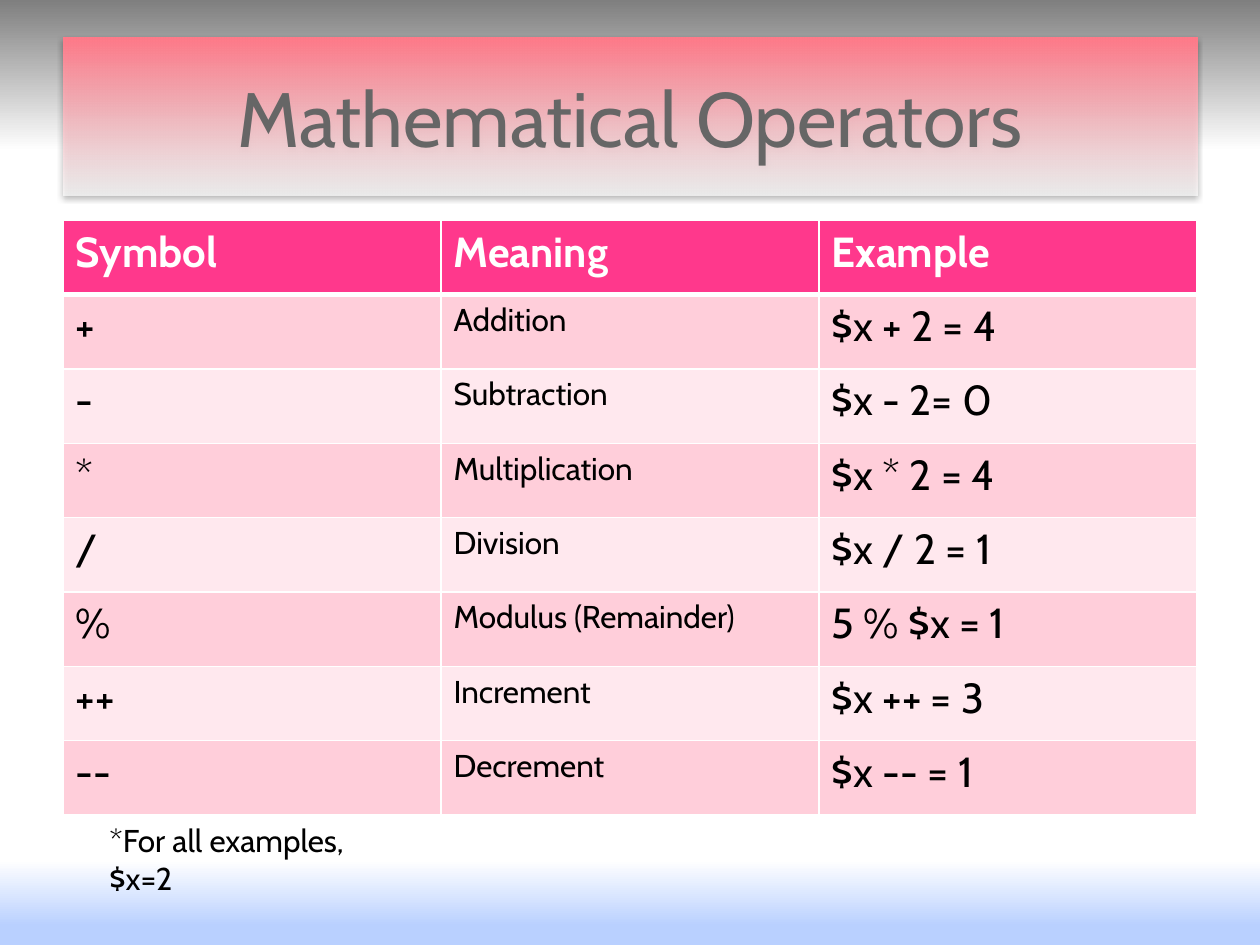
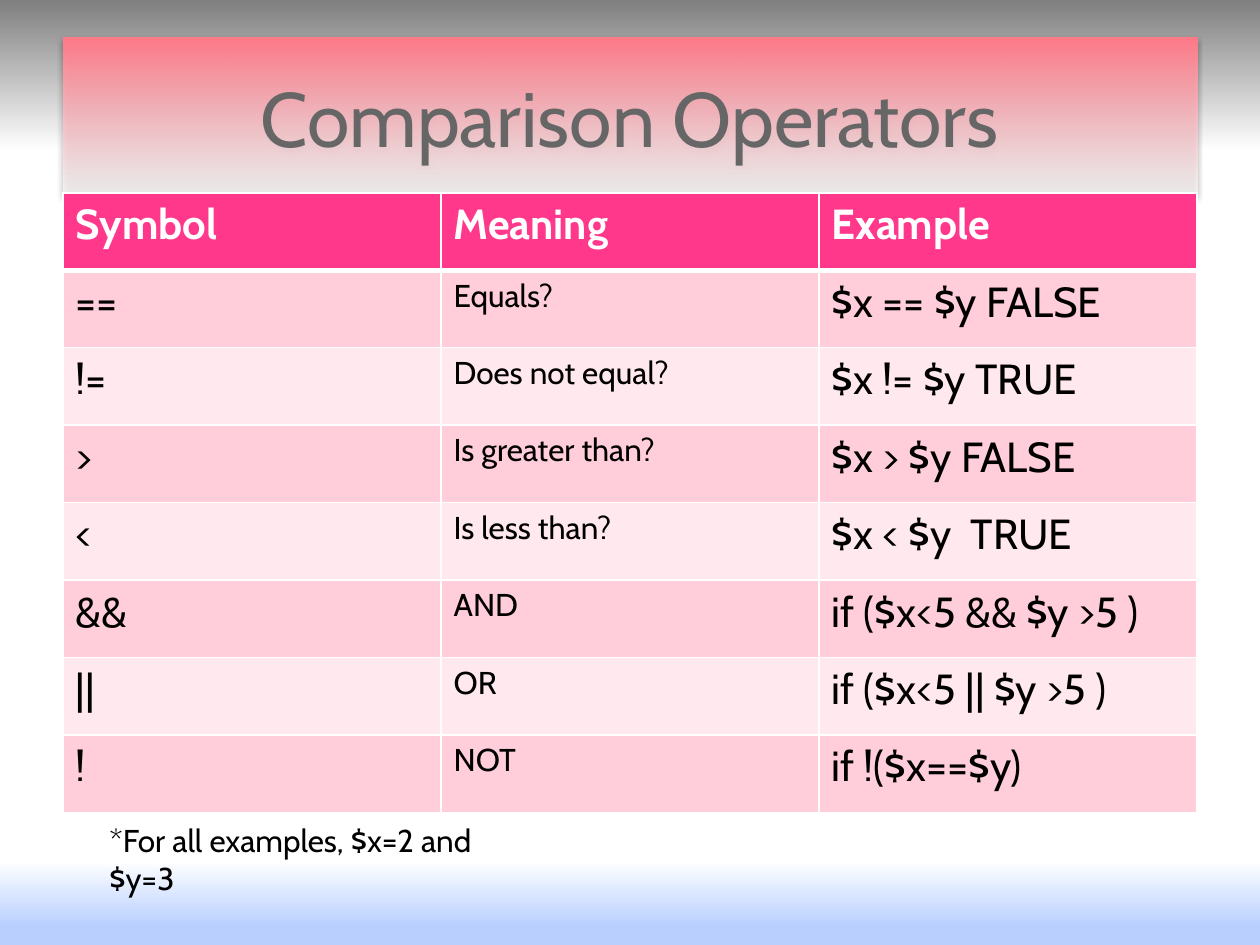
from lxml.etree import SubElement
from pptx import Presentation
from pptx.dml.color import RGBColor
from pptx.enum.text import MSO_ANCHOR, PP_ALIGN
from pptx.oxml import parse_xml
from pptx.oxml.ns import qn
from pptx.util import Inches, Pt

COLORS = {
    "white": "FFFFFF", "black": "000000", "title": "666666",
    "bg_top": "7F7F7F", "bg_bottom": "B9D0FF", "banner": "FF7A89",
    "header": "FF388C", "band_dark": "FFCEDA", "band_light": "FFE8EE",
}
FONT = "Cabin"
A_NS = 'xmlns:a="http://schemas.openxmlformats.org/drawingml/2006/main"'
COLUMN_SIZES = (24, 18, 24)
HEADERS = ("Symbol", "Meaning", "Example")

MATH_ROWS = (
    ("+", "Addition", "$x + 2 = 4"),
    ("-", "Subtraction", "$x - 2= 0"),
    ("*", "Multiplication", "$x * 2 = 4"),
    ("/", "Division", "$x / 2 = 1"),
    ("%", "Modulus (Remainder)", "5 % $x = 1"),
    ("++", "Increment", "$x ++ = 3"),
    ("--", "Decrement", "$x -- = 1"),
)
COMPARISON_ROWS = (
    ("==", "Equals?", "$x == $y FALSE"),
    ("!=", "Does not equal?", "$x != $y TRUE"),
    (">", "Is greater than?", "$x > $y FALSE"),
    ("<", "Is less than?", "$x < $y  TRUE"),
    ("&&", "AND", "if ($x<5 && $y >5 )"),
    ("||", "OR", "if ($x<5 || $y >5 )"),
    ("!", "NOT", "if !($x==$y)"),
)


def rgb(name):
    """Return a named colour."""
    return RGBColor.from_string(COLORS[name])


def write(tf, text, size=18, color="black", bold=False, align=None):
    """Put one formatted run in a text frame."""
    p = tf.paragraphs[0]
    p.alignment = align
    r = p.add_run()
    r.text = text
    r.font.name = FONT
    r.font.size = Pt(size)
    r.font.bold = bold
    r.font.color.rgb = rgb(color)


def fill_gradient(fill, element, stops):
    """Fill from top to bottom with (percent, colour, opacity) stops."""
    fill.gradient()
    fill.gradient_angle = 270
    stop_list = element.find(".//" + qn("a:gsLst"))
    for old in list(stop_list):
        stop_list.remove(old)
    for percent, color, opacity in stops:
        stop = SubElement(stop_list, qn("a:gs"), pos=str(percent * 1000))
        clr = SubElement(stop, qn("a:srgbClr"), val=COLORS[color])
        if opacity < 100:
            SubElement(clr, qn("a:alpha"), val=str(opacity * 1000))


def add_shadow(shape):
    """Give a shape a soft shadow below it."""
    shape._element.spPr.append(parse_xml(
        f'<a:effectLst {A_NS}><a:outerShdw blurRad="{Pt(3.1)}" dist="{Pt(1.6)}" '
        'dir="5400000" rotWithShape="0"><a:srgbClr val="000000">'
        '<a:alpha val="38000"/></a:srgbClr></a:outerShdw></a:effectLst>'))


def set_borders(cell, top=1, bottom=1):
    """Draw white lines round a cell, with widths in points."""
    tc_pr = cell._tc.get_or_add_tcPr()
    widths = {"lnL": 1, "lnR": 1, "lnT": top, "lnB": bottom}
    for i, (tag, width) in enumerate(widths.items()):
        tc_pr.insert(i, parse_xml(
            f'<a:{tag} {A_NS} w="{Pt(width)}"><a:solidFill>'
            f'<a:srgbClr val="{COLORS["white"]}"/></a:solidFill></a:{tag}>'))


def set_background(master):
    """Set the background that all slides share."""
    fill_gradient(master.background.fill, master._element.cSld,
                  [(0, "bg_top", 100), (16, "white", 100),
                   (91, "white", 100), (98, "bg_bottom", 100)])


def add_title(s, text, x, y, w, h):
    """Turn the title placeholder into the pink banner."""
    sp = s.shapes.title
    sp.left, sp.top, sp.width, sp.height = map(Inches, (x, y, w, h))
    fill_gradient(sp.fill, sp._element.spPr,
                  [(0, "banner", 100), (100, "white", 71)])
    sp.line.fill.background()
    add_shadow(sp)
    sp.text_frame.vertical_anchor = MSO_ANCHOR.MIDDLE
    write(sp.text_frame, text, size=44, color="title", align=PP_ALIGN.CENTER)


def add_operator_table(s, body, x, y, w, h):
    """Add the banded table with equal rows and columns."""
    rows = (HEADERS,) + body
    table = s.shapes.add_table(len(rows), len(HEADERS),
                               *map(Inches, (x, y, w, h))).table
    for row in table.rows:
        row.height = Inches(h / len(rows))
    for i, texts in enumerate(rows):
        head = i == 0
        band = "header" if head else "band_dark" if i % 2 else "band_light"
        for j, text in enumerate(texts):
            cell = table.cell(i, j)
            cell.fill.solid()
            cell.fill.fore_color.rgb = rgb(band)
            set_borders(cell, top=3 if i == 1 else 1, bottom=3 if head else 1)
            write(cell.text_frame, text, bold=head,
                  size=24 if head else COLUMN_SIZES[j],
                  color="white" if head else "black")


def add_note(s, text, x, y, w, h):
    """Add the remark under the table."""
    tf = s.shapes.add_textbox(*map(Inches, (x, y, w, h))).text_frame
    tf.word_wrap = True
    write(tf, text)


def add_operator_slide(prs, title, rows, note, table_top, table_height, note_width):
    """Add a slide with a banner, a table of operators and a remark."""
    s = prs.slides.add_slide(prs.slide_layouts[5])
    add_title(s, title, 0.5, 0.3, 9, 1.25)
    add_operator_table(s, rows, 0.5, table_top, 9, table_height)
    add_note(s, note, 0.77, 6.47, note_width, 0.4)


prs = Presentation()
prs.slide_width, prs.slide_height = Inches(10), Inches(7.5)
set_background(prs.slide_master)
add_operator_slide(prs, "Mathematical Operators", MATH_ROWS,
                   "*For all examples, $x=2", 1.75, 4.72, 2.59)
add_operator_slide(prs, "Comparison Operators", COMPARISON_ROWS,
                   "*For all examples, $x=2 and $y=3", 1.53, 4.92, 3.58)
prs.save("out.pptx")
